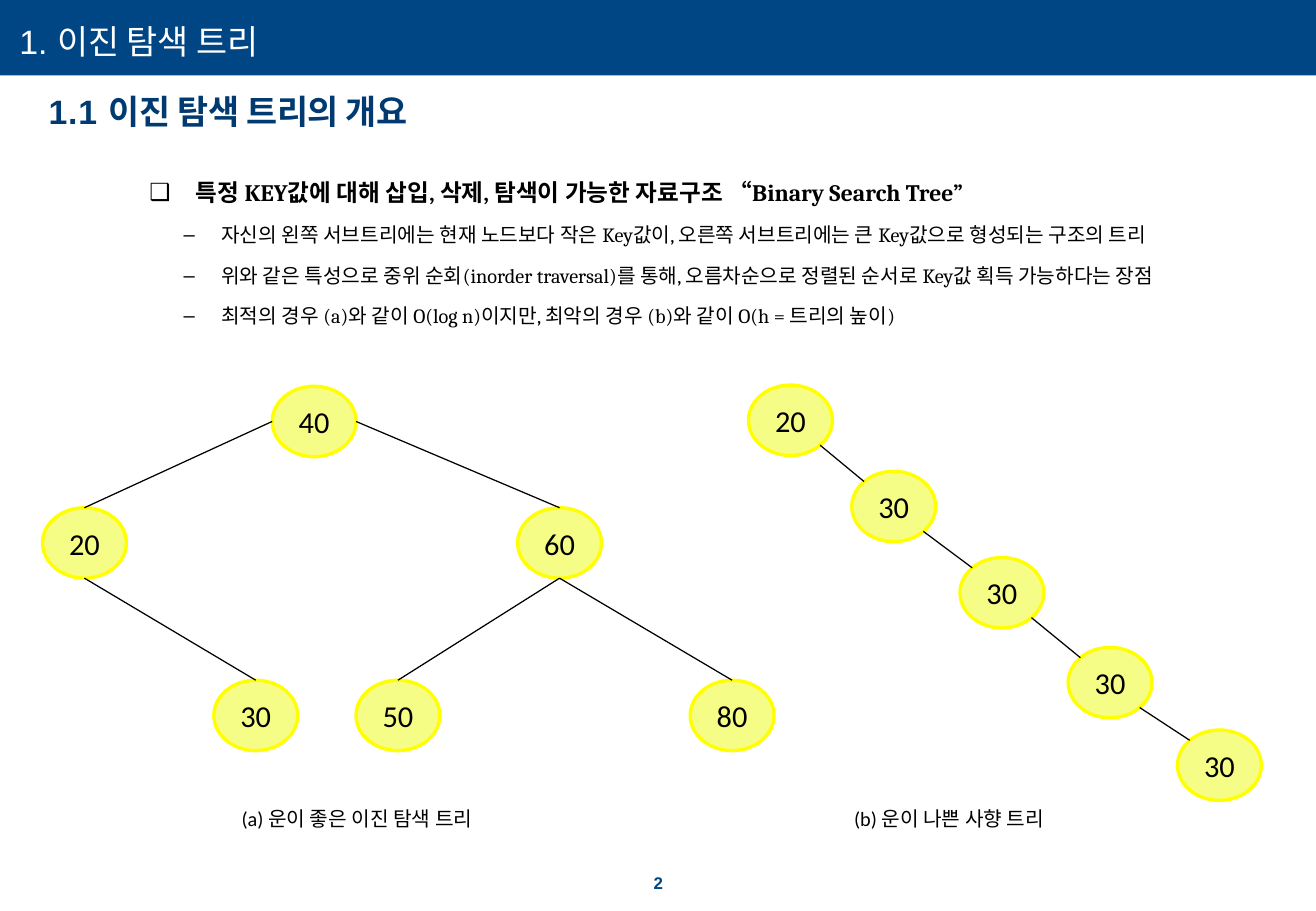
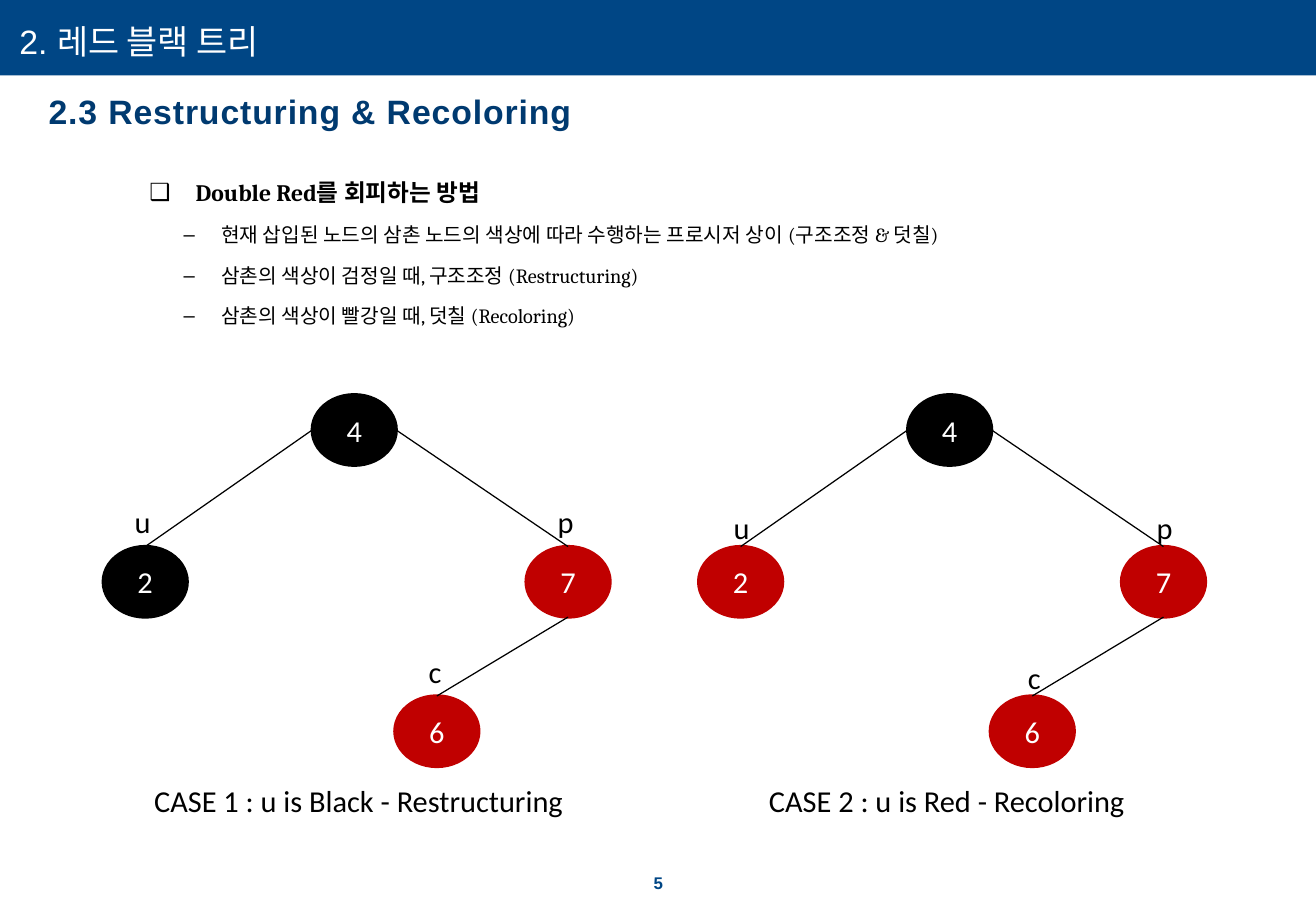
from dataclasses import dataclass
from math import sqrt

from lxml.etree import SubElement
from pptx import Presentation
from pptx.dml.color import RGBColor
from pptx.enum.shapes import MSO_CONNECTOR, MSO_SHAPE
from pptx.enum.text import MSO_ANCHOR, MSO_AUTO_SIZE, PP_ALIGN
from pptx.oxml.ns import qn
from pptx.util import Inches, Pt


@dataclass(frozen=True)
class Theme:
    band: str = "004685"
    head: str = "003A70"
    white: str = "FFFFFF"
    black: str = "000000"
    red: str = "C00000"
    pale: str = "F5FD87"
    yellow: str = "FFFF00"
    sans: str = "Arial"
    serif: str = "Cambria"
    plain: str = "Calibri"
    title: int = 20
    node: int = 18
    lead: int = 14
    item: int = 12
    page: int = 10


@dataclass(frozen=True)
class Look:
    fill: str
    line: str
    ink: str


T = Theme()
PALE = Look(T.pale, T.yellow, T.black)
DARK = Look(T.black, T.black, T.white)
RED = Look(T.red, T.red, T.white)

WIDE, HIGH = 108.3, 75
NODE = (6.9, 5.8)
DIAG = 1 / sqrt(2)
TOP, LEFT, BOTTOM, RIGHT = (0, -1), (-1, 0), (0, 1), (1, 0)
UPPER, LOWER = (-DIAG, -DIAG), (DIAG, DIAG)


def cells(*values):
    return [Inches(value / 10) for value in values]


def place(shape, *box):
    shape.left, shape.top, shape.width, shape.height = cells(*box)


def style(para, size, face, ink, bold=False):
    font = para.font
    font.size, font.name, font.bold = Pt(size), face, bold
    font.color.rgb = RGBColor.from_string(ink)


def trim(frame):
    frame.margin_left = frame.margin_right = 0
    frame.margin_top = frame.margin_bottom = 0


def paint(shape, fill, line=None):
    shape.shadow.inherit = False
    shape.fill.solid()
    shape.fill.fore_color.rgb = RGBColor.from_string(fill)
    if line:
        shape.line.color.rgb = RGBColor.from_string(line)
        shape.line.width = Pt(2)
    else:
        shape.line.fill.background()


def label(slide, box, text, size):
    frame = slide.shapes.add_textbox(*cells(*box)).text_frame
    frame.word_wrap = False
    frame.auto_size = MSO_AUTO_SIZE.SHAPE_TO_FIT_TEXT
    para = frame.paragraphs[0]
    para.text = text
    style(para, size, T.plain, T.black)


def spaced(slide, box, parts, size, ink):
    frame = slide.shapes.add_textbox(*cells(*box)).text_frame
    frame.word_wrap = True
    trim(frame)
    para = frame.paragraphs[0]
    style(para, size, T.sans, ink, True)
    for text, gap in parts:
        run = para.add_run()
        run.text = text
        run.font.bold = True
        run._r.get_or_add_rPr().set("spc", str(gap))
    return para


def bullet(para, mark, margin, hang):
    props = para._p.get_or_add_pPr()
    props.set("marL", str(Inches(margin)))
    props.set("indent", str(Inches(-hang)))
    sign = SubElement(props, qn("a:buChar"))
    sign.set("char", mark)
    props.insert_element_before(sign, "a:tabLst", "a:defRPr", "a:extLst")


def outline(shape, lead, items):
    place(shape, 11.3, 13, 91.2, 20.2)
    frame = shape.text_frame
    frame.auto_size = MSO_AUTO_SIZE.NONE
    for index, text in enumerate([lead, *items]):
        para = frame.add_paragraph() if index else frame.paragraphs[0]
        para.text = text
        para.line_spacing = 1.5
        if index:
            para.level = 1
            style(para, T.item, T.serif, T.black)
            bullet(para, "–", 0.59, 0.31)
        else:
            style(para, T.lead, T.serif, T.black, True)
            bullet(para, "❑", 0.38, 0.38)


def page(deck, title, head, number, lead, items):
    slide = deck.slides.add_slide(deck.slide_layouts[1])
    name, body = slide.placeholders
    place(name, 1.6, 1.7, 60, 3.4)
    frame = name.text_frame
    trim(frame)
    frame.auto_size = MSO_AUTO_SIZE.NONE
    frame.vertical_anchor = MSO_ANCHOR.TOP
    para = frame.paragraphs[0]
    para.text = title
    para.alignment = PP_ALIGN.LEFT
    style(para, T.title, T.sans, T.white)
    spaced(slide, (4, 7.5, 66, 3.4), head, T.title, T.head)
    foot = spaced(slide, (53.8, 72, 3, 1.5), [(number, 50)], T.page, T.band)
    foot.line_spacing = Pt(10.9)
    outline(body, lead, items)
    return slide


def backdrop(deck):
    layout = deck.slide_layouts[1]
    for holder in list(layout.placeholders)[2:]:
        layout.shapes.element.remove(holder.element)
    return layout


def banner(slide, layout):
    band = slide.shapes.add_shape(MSO_SHAPE.RECTANGLE, *cells(0, 0, WIDE, 6.2))
    paint(band, T.band)
    layout.shapes.element.append(band.element)


def node(slide, x, y, text, look):
    shape = slide.shapes.add_shape(MSO_SHAPE.OVAL, *cells(x, y, *NODE))
    paint(shape, look.fill, look.line)
    frame = shape.text_frame
    frame.vertical_anchor = MSO_ANCHOR.MIDDLE
    para = frame.paragraphs[0]
    para.text = text
    para.alignment = PP_ALIGN.CENTER
    style(para, T.node, T.plain, look.ink)
    return shape


def point(shape, side):
    across, down = side
    return (int(shape.left + shape.width * (1 + across) / 2),
            int(shape.top + shape.height * (1 + down) / 2))


def edge(slide, start, out, end, into=TOP):
    line = slide.shapes.add_connector(
        MSO_CONNECTOR.STRAIGHT, *point(start, out), *point(end, into))
    line.line.color.rgb = RGBColor.from_string(T.black)
    line.line.width = Pt(0.75)
    SubElement(line.element.spPr, qn("a:effectLst"))


def tree(slide, spots, links):
    nodes = [node(slide, *spot) for spot in spots]
    for start, out, end in links:
        edge(slide, nodes[start], out, nodes[end])


def chain(slide, spots):
    nodes = [node(slide, *spot, PALE) for spot in spots]
    for start, end in zip(nodes, nodes[1:]):
        edge(slide, start, LOWER, end, UPPER)


def search(slide):
    tree(slide,
         [(22.4, 31.8, "40", PALE), (3.5, 41.8, "20", PALE),
          (42.6, 41.8, "60", PALE), (17.6, 56, "30", PALE),
          (29.3, 56, "50", PALE), (56.8, 56, "80", PALE)],
         [(0, LEFT, 1), (0, RIGHT, 2), (1, BOTTOM, 3),
          (2, BOTTOM, 4), (2, BOTTOM, 5)])
    chain(slide,
          [(61.6, 31.7, "20"), (70.1, 38.8, "30"), (79, 45.9, "30"),
           (87.9, 53.3, "30"), (96.9, 60.1, "30")])
    label(slide, (18.9, 65.9, 22.6, 3), "(a) 운이 좋은 이진 탐색 트리", T.item)
    label(slide, (69.3, 65.9, 18.9, 3), "(b) 운이 나쁜 사향 트리", T.item)


def case(slide, shift, uncle, drop, nudge):
    tree(slide,
         [(25.7 + shift, 32.5, "4", DARK), (8.5 + shift, 45, "2", uncle),
          (43.3 + shift, 45, "7", RED), (32.5 + shift, 57.3, "6", RED)],
         [(0, LEFT, 1), (0, RIGHT, 2), (2, BOTTOM, 3)])
    for x, y, text in [(10.1, 40.9, "u"), (44.9, 40.9, "p"), (34.3, 53.3, "c")]:
        label(slide, (x + shift + nudge, y + drop, 3.4, 4), text, T.node)


def recolor(slide):
    case(slide, 0, DARK, 0, 0)
    case(slide, 49, RED, 0.5, 0.3)
    label(slide, (11.7, 63.9, 36.1, 4),
          "CASE 1 : u is Black - Restructuring", T.node)
    label(slide, (62.3, 63.9, 31.7, 4),
          "CASE 2 : u is Red - Recoloring", T.node)


def main():
    deck = Presentation()
    deck.slide_width, deck.slide_height = cells(WIDE, HIGH)
    layout = backdrop(deck)
    first = page(
        deck, "1. 이진 탐색 트리",
        [("1.1 ", 50), ("이진 탐색 트리의 개요", -20)], "2",
        "특정 KEY값에 대해 삽입, 삭제, 탐색이 가능한 자료구조 “Binary Search Tree”",
        ["자신의 왼쪽 서브트리에는 현재 노드보다 작은 Key값이, "
         "오른쪽 서브트리에는 큰 Key값으로 형성되는 구조의 트리",
         "위와 같은 특성으로 중위 순회(inorder traversal)를 통해, "
         "오름차순으로 정렬된 순서로 Key값 획득 가능하다는 장점",
         "최적의 경우 (a)와 같이 O(log n)이지만, "
         "최악의 경우 (b)와 같이 O(h = 트리의 높이)"])
    banner(first, layout)
    search(first)
    second = page(
        deck, "2. 레드 블랙 트리",
        [("2.3 Restructuring & Recoloring", 50)], "5",
        "Double Red를 회피하는 방법",
        ["현재 삽입된 노드의 삼촌 노드의 색상에 따라 수행하는 프로시저 상이 "
         "(구조조정 & 덧칠)",
         "삼촌의 색상이 검정일 때, 구조조정 (Restructuring)",
         "삼촌의 색상이 빨강일 때, 덧칠 (Recoloring)"])
    recolor(second)
    deck.save("out.pptx")


if __name__ == "__main__":
    main()
